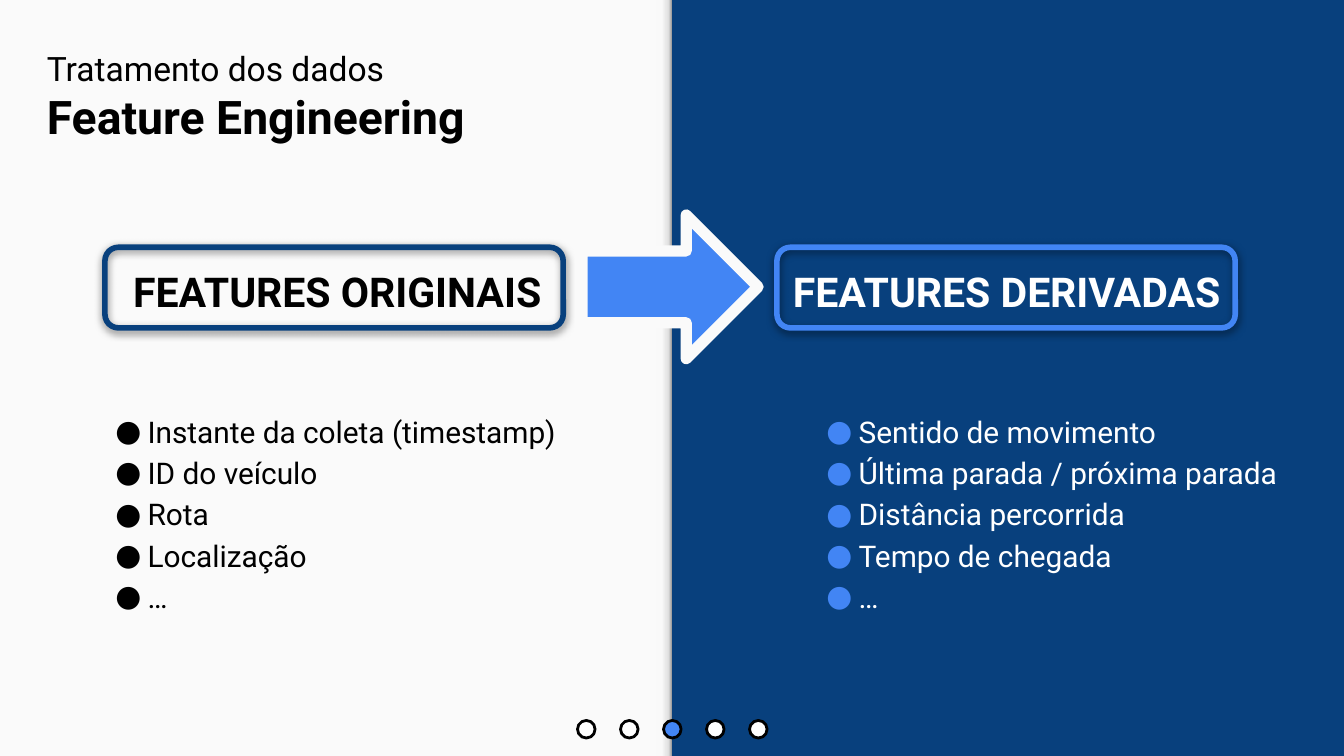
import copy
from dataclasses import dataclass

import lxml.etree
import pptx
import pptx.dml.color
import pptx.enum.shapes
import pptx.enum.text
import pptx.oxml
import pptx.oxml.ns
import pptx.util

Pt = pptx.util.Pt
RGB = pptx.dml.color.RGBColor.from_string
Shape = pptx.enum.shapes.MSO_SHAPE
Anchor = pptx.enum.text.MSO_ANCHOR
Align = pptx.enum.text.PP_ALIGN
qn = pptx.oxml.ns.qn


@dataclass
class Theme:
    font: str = "Roboto"
    navy: str = "08407D"
    blue: str = "4285F4"
    paper: str = "FAFAFA"
    white: str = "FFFFFF"
    black: str = "000000"
    kicker: float = 18
    title: float = 24.8
    heading: float = 22
    body: float = 16


theme = Theme()


def add_shape(parent, kind, frame, fill=None, line=None, weight=0):
    shape = parent.shapes.add_shape(kind, *[Pt(length) for length in frame])
    shape.shadow.inherit = False
    if fill:
        shape.fill.solid()
        shape.fill.fore_color.rgb = RGB(fill)
    else:
        shape.fill.background()
    if line:
        shape.line.color.rgb = RGB(line)
        shape.line.width = Pt(weight)
        lxml.etree.SubElement(shape.line._get_or_add_ln(), qn("a:round"))
    else:
        shape.line.fill.background()
    return shape


def add_span(para, text, size, color, bold=False):
    span = para.add_run()
    span.text = text
    span.font.name = theme.font
    span.font.size = Pt(size)
    span.font.bold = bold
    span.font.color.rgb = RGB(color)


deck = pptx.Presentation()
deck.slide_width, deck.slide_height = Pt(720), Pt(405)
page = deck.slides.add_slide(deck.slide_layouts[6])

# Background: navy page, light left half, shaded edge between them
page.background.fill.solid()
page.background.fill.fore_color.rgb = RGB(theme.navy)
add_shape(page, Shape.RECTANGLE, (0, 0, 360, 405), theme.paper)
edge = add_shape(page, Shape.RECTANGLE, (351.4, 0, 8.6, 405), theme.paper)
edge.fill.gradient()
edge.fill.gradient_angle = 0
first_stop = edge.fill.gradient_stops[0]._gs
for _ in range(2):
    first_stop.addnext(copy.deepcopy(first_stop))
shades = [(0, "F9F9F9"), (0.36, "F9F9F9"), (0.8, "DEDEDE"), (1, "999999")]
for stop, (position, color) in zip(edge.fill.gradient_stops, shades):
    stop.position = position
    stop.color.rgb = RGB(color)

# Title
box = page.shapes.add_textbox(Pt(18), Pt(18.7), Pt(325.4), Pt(64.8))
frame = box.text_frame
frame.word_wrap = True
frame.margin_left = frame.margin_right = Pt(7.2)
frame.margin_top = frame.margin_bottom = Pt(7.2)
add_span(frame.paragraphs[0], "Tratamento dos dados", theme.kicker, theme.black)
add_span(frame.add_paragraph(), "Feature Engineering", theme.title, theme.black, True)

# Arrow from the original features to the derived ones
add_shape(page, Shape.RIGHT_ARROW, (311.8, 115.2, 94.3, 77),
          theme.blue, theme.paper, 6)

# Feature columns: text left, text colour, bullet colour, bullet indent,
# frame left, frame colour, heading, items
columns = [
    (18, theme.black, theme.black, 54, 56.2, theme.navy, "FEATURES ORIGINAIS",
     ["Instante da coleta (timestamp)", "ID do veículo", "Rota", "Localização", "…"]),
    (376.6, theme.white, theme.blue, 76.3, 416.2, theme.blue, "FEATURES DERIVADAS",
     ["Sentido de movimento", "Última parada / próxima parada",
      "Distância percorrida", "Tempo de chegada", "…"]),
]
for left, color, bullet_color, indent, frame_left, outline, heading, items in columns:
    # Heading and bullet list
    box = page.shapes.add_textbox(Pt(left), Pt(103.7), Pt(325.4), Pt(260.6))
    frame = box.text_frame
    frame.word_wrap = True
    frame.vertical_anchor = Anchor.MIDDLE
    frame.margin_left = frame.margin_right = Pt(7.2)
    frame.margin_top = frame.margin_bottom = Pt(7.2)
    para = frame.paragraphs[0]
    para.alignment = Align.CENTER
    para.line_spacing = 1.15
    add_span(para, heading, theme.heading, color, True)
    for number, item in enumerate(items):
        para = frame.add_paragraph()
        para.line_spacing = 1.15
        para.space_before = Pt(0 if number else 49.6)
        properties = para._p.get_or_add_pPr()
        properties.set("marL", str(Pt(indent)))
        properties.set("indent", str(Pt(-17.3)))
        tint = lxml.etree.SubElement(properties, qn("a:buClr"))
        lxml.etree.SubElement(tint, qn("a:srgbClr"), val=bullet_color)
        lxml.etree.SubElement(properties, qn("a:buFont"), typeface=theme.font)
        lxml.etree.SubElement(properties, qn("a:buChar"), char="●")
        add_span(para, item, theme.body, color)

    # Rounded frame with a soft shadow
    border = add_shape(page, Shape.ROUNDED_RECTANGLE, (frame_left, 132.5, 245.5, 43.2),
                       line=outline, weight=3)
    effects = border._element.spPr.find(qn("a:effectLst"))
    shadow = lxml.etree.SubElement(effects, qn("a:outerShdw"), blurRad=str(Pt(4.5)),
                                   dist=str(Pt(1.5)), dir="5400000",
                                   algn="bl", rotWithShape="0")
    shade = lxml.etree.SubElement(shadow, qn("a:srgbClr"), val=theme.black)
    lxml.etree.SubElement(shade, qn("a:alpha"), val="50000")

# Progress dots, the third one current
dots = page.shapes.add_group_shape()
for number in range(5):
    add_shape(dots, Shape.OVAL, (309.4 + 23.04 * number, 386, 9.4, 9.4),
              theme.blue if number == 2 else theme.white, theme.black, 1.5)

deck.save("out.pptx")
